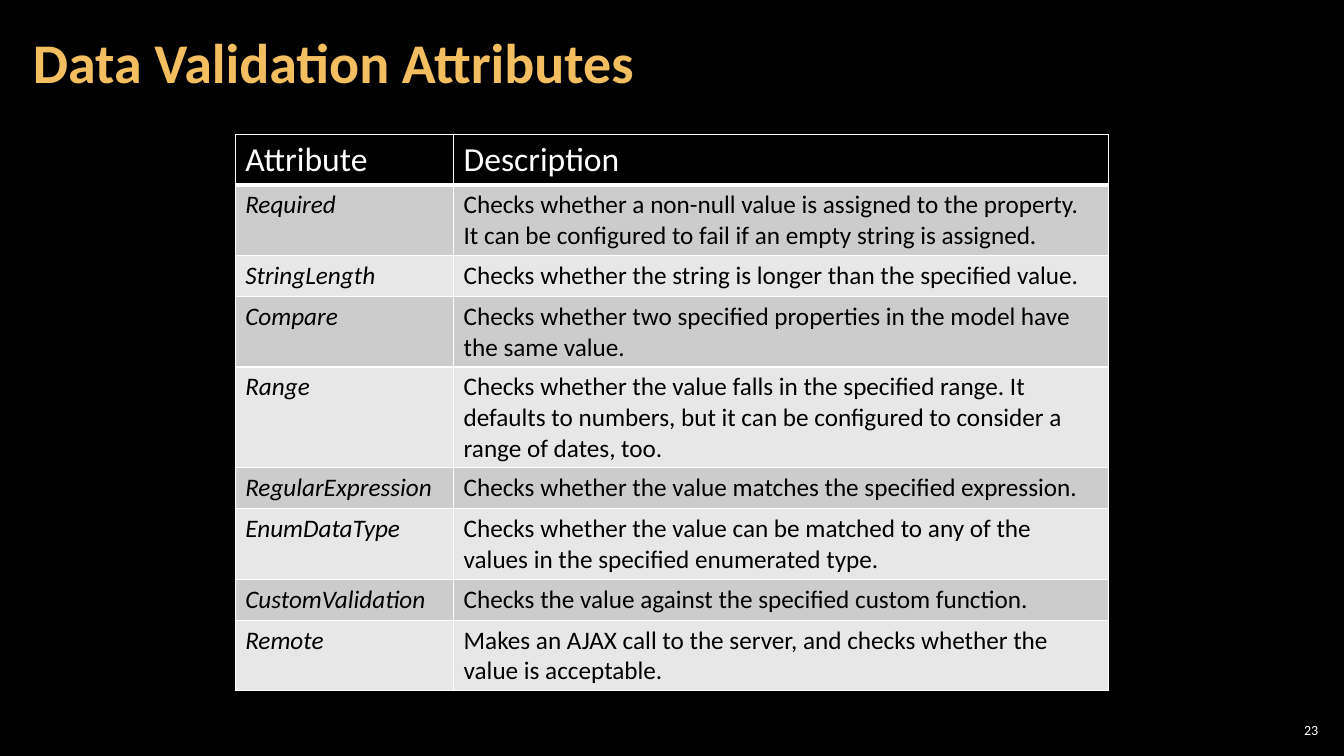
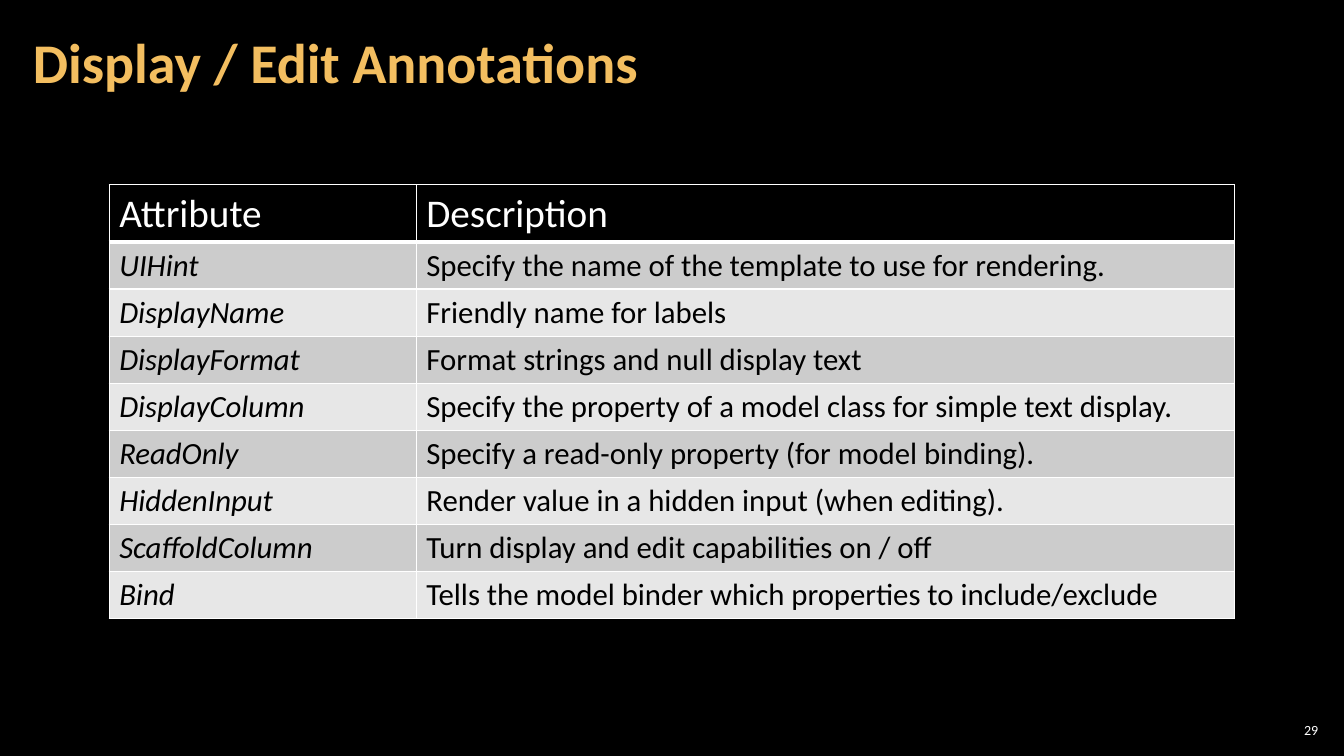
from dataclasses import dataclass

from lxml.etree import SubElement
from pptx import Presentation
from pptx.dml.color import RGBColor
from pptx.enum.text import MSO_ANCHOR, PP_ALIGN
from pptx.oxml.ns import qn
from pptx.slide import Slide
from pptx.table import _Cell
from pptx.text.text import TextFrame
from pptx.util import Pt

FONT = "Calibri"
BLACK, WHITE, GOLD = "000000", "FFFFFF", "F3BE60"
BANDS = ("CCCCCC", "E7E7E7")
ROW_HEIGHT = 29.2  # minimum; rows grow with their text
HEADINGS = ("Attribute", "Description")


@dataclass(frozen=True)
class AttributeSlide:
    title: str
    number: int
    left: float
    top: float
    columns: tuple[float, float]
    heading_size: int
    body_size: int
    rows: tuple[tuple[str, str], ...]


SLIDES = (
    AttributeSlide(
        "Data Validation Attributes", 23, 168, 96, (156, 468), 24, 18,
        (
            ("Required", "Checks whether a non-null value is assigned to the property. "
                         "It can be configured to fail if an empty string is assigned."),
            ("StringLength", "Checks whether the string is longer than the specified value."),
            ("Compare", "Checks whether two specified properties in the model have "
                        "the same value."),
            ("Range", "Checks whether the value falls in the specified range. It defaults to "
                      "numbers, but it can be configured to consider a range of dates, too."),
            ("RegularExpression", "Checks whether the value matches the specified expression."),
            ("EnumDataType", "Checks whether the value can be matched to any of the values "
                             "in the specified enumerated type."),
            ("CustomValidation", "Checks the value against the specified custom function."),
            ("Remote", "Makes an AJAX call to the server, and checks whether the value "
                       "is acceptable."),
        ),
    ),
    AttributeSlide(
        "Display / Edit Annotations", 29, 78, 132, (219.4, 584.6), 28, 22,
        (
            ("UIHint", "Specify the name of the template to use for rendering."),
            ("DisplayName", "Friendly name for labels"),
            ("DisplayFormat", "Format strings and null display text"),
            ("DisplayColumn", "Specify the property of a model class for simple text display."),
            ("ReadOnly", "Specify a read-only property (for model binding)."),
            ("HiddenInput", "Render value in a hidden input (when editing)."),
            ("ScaffoldColumn", "Turn display and edit capabilities on / off"),
            ("Bind", "Tells the model binder which properties to include/exclude"),
        ),
    ),
)


def rgb(value: str) -> RGBColor:
    return RGBColor.from_string(value)


def write(frame: TextFrame, text: str, size: float, color: str,
          bold: bool = False, italic: bool = False) -> None:
    frame.text = text
    font = frame.paragraphs[0].runs[0].font
    font.name, font.size, font.bold, font.italic = FONT, Pt(size), bold, italic
    font.color.rgb = rgb(color)


def add_text(slide: Slide, box: tuple[float, float, float, float], side_inset: float,
             text: str, size: float, color: str, bold: bool = False) -> TextFrame:
    frame = slide.shapes.add_textbox(*map(Pt, box)).text_frame
    frame.word_wrap = True
    frame.vertical_anchor = MSO_ANCHOR.MIDDLE
    frame.margin_left = frame.margin_right = Pt(side_inset)
    frame.margin_top = frame.margin_bottom = Pt(3)
    write(frame, text, size, color, bold)
    return frame


def style_cell(cell: _Cell, fill: str, bottom_width: float) -> None:
    # Borders come before the fill in the cell properties
    properties = cell._tc.get_or_add_tcPr()
    for side, width in (("L", 1), ("R", 1), ("T", 1), ("B", bottom_width)):
        border = SubElement(properties, qn(f"a:ln{side}"), w=str(Pt(width)))
        SubElement(SubElement(border, qn("a:solidFill")), qn("a:srgbClr"), val=WHITE)
    cell.fill.solid()
    cell.fill.fore_color.rgb = rgb(fill)


def add_attribute_table(slide: Slide, content: AttributeSlide) -> None:
    entries = (HEADINGS, *content.rows)
    table = slide.shapes.add_table(
        len(entries), len(HEADINGS), Pt(content.left), Pt(content.top),
        Pt(sum(content.columns)), Pt(ROW_HEIGHT * len(entries))).table
    for column, width in zip(table.columns, content.columns):
        column.width = Pt(width)
    for row_index, entry in enumerate(entries):
        table.rows[row_index].height = Pt(ROW_HEIGHT)
        heading = row_index == 0
        for column_index, text in enumerate(entry):
            cell = table.cell(row_index, column_index)
            if heading:
                style_cell(cell, BLACK, 3)
                write(cell.text_frame, text, content.heading_size, WHITE)
            else:
                style_cell(cell, BANDS[(row_index - 1) % 2], 1)
                write(cell.text_frame, text, content.body_size, BLACK,
                      italic=column_index == 0)


def add_slide_frame(slide: Slide, title: str, number: int) -> None:
    # Background
    slide.background.fill.solid()
    slide.background.fill.fore_color.rgb = rgb(BLACK)
    # Page number
    page = add_text(slide, (910.8, 514, 33.8, 15), 3, str(number), 10, WHITE)
    page.paragraphs[0].alignment = PP_ALIGN.RIGHT
    # Title
    heading = add_text(slide, (15, 3, 754, 87), 8.5, title, 40, GOLD, bold=True)
    heading.paragraphs[0].line_spacing = 0.9


def main() -> None:
    presentation = Presentation()
    presentation.slide_width, presentation.slide_height = Pt(960), Pt(540)
    blank = presentation.slide_layouts[6]
    for content in SLIDES:
        slide = presentation.slides.add_slide(blank)
        add_slide_frame(slide, content.title, content.number)
        add_attribute_table(slide, content)
    presentation.save("out.pptx")


if __name__ == "__main__":
    main()
